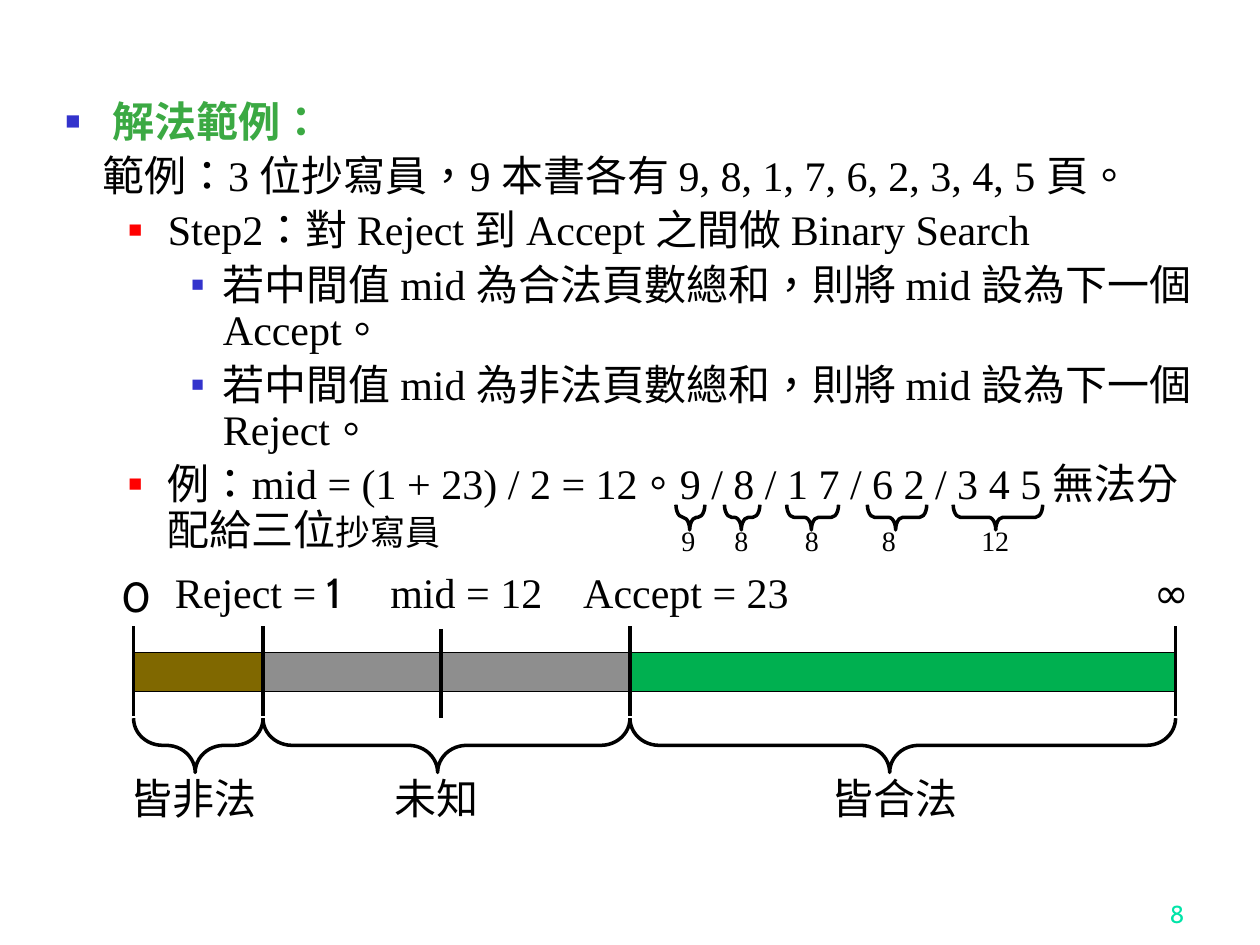
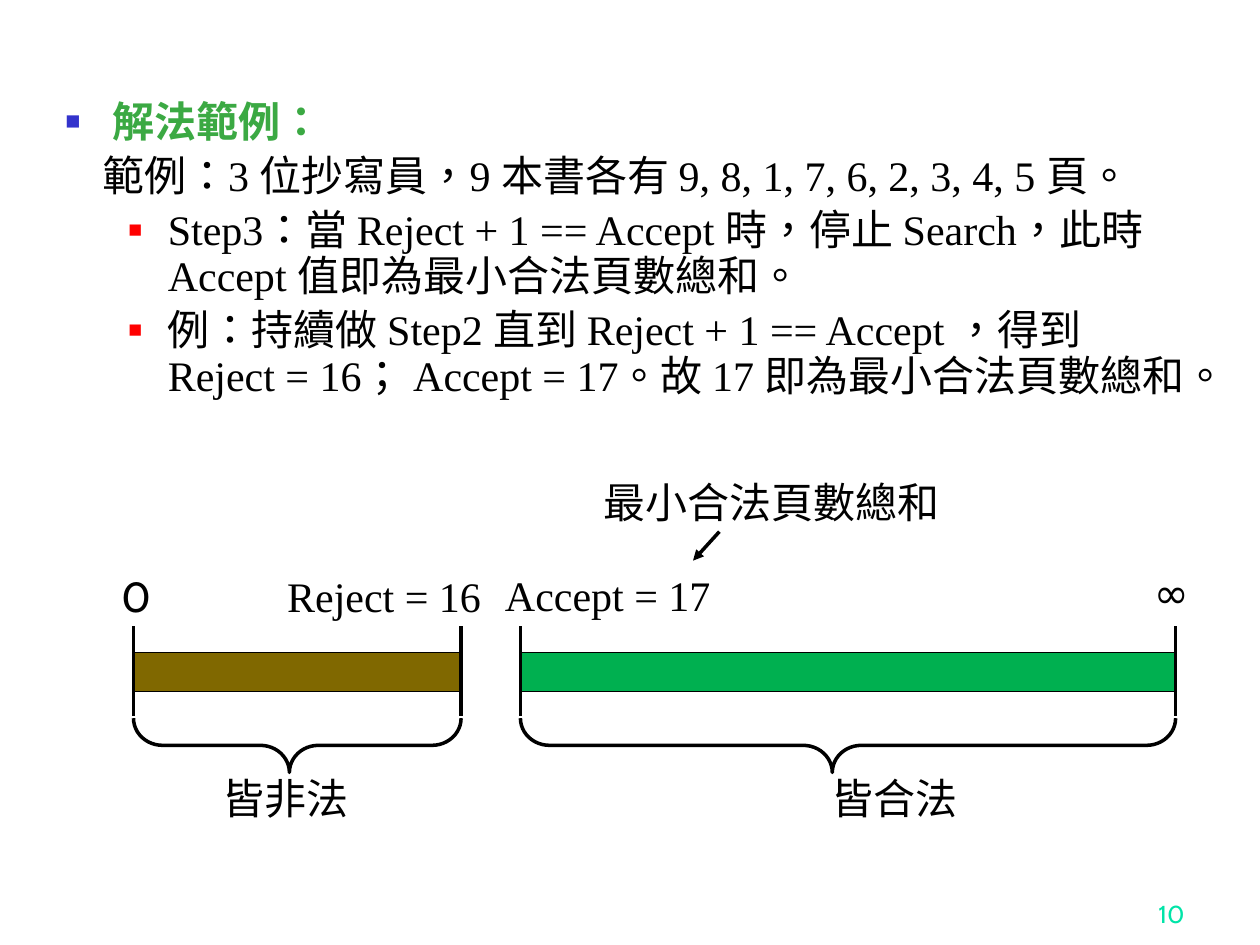
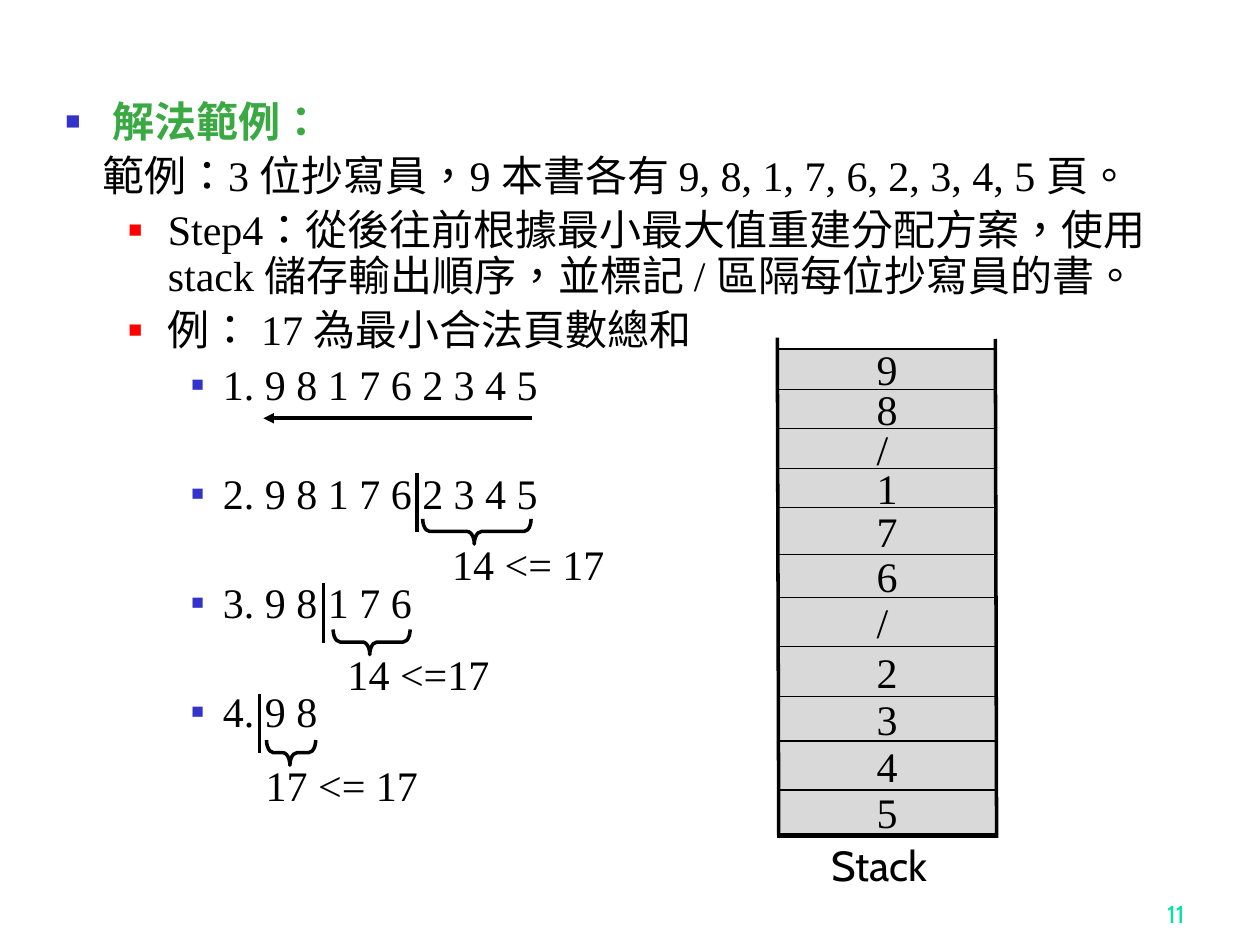
from lxml import etree
from pptx import Presentation
from pptx.dml.color import RGBColor
from pptx.enum import lang, shapes, text
from pptx.oxml.ns import qn
from pptx.util import Pt

COLORS = {"black": "000000", "heading": "3BA943", "page": "00E4A8", "blue": "3333CC",
          "red": "FF0000", "illegal": "806800", "unknown": "8E8E8E", "legal": "00B050",
          "stack": "D9D9D9"}
SERIF, SANS, CJK = "Times New Roman", "Cabin", "Noto Sans CJK SC"

# kind: left margin, first-line indent, bullet colour, bullet size in percent
LEVELS = {"heading": (27, -27, "blue", 60), "example": (21, 0, None, None),
          "step": (58.5, -22.5, "red", 55), "detail": (90, -18, "blue", 50)}
DEPTH = {"heading": 0, "example": 0, "step": 1, "detail": 2}
SPACE, WIDE_SPACE = 5.2, 36.5

INTRO = [("heading", "解法範例："),
         ("example", "範例：3 位抄寫員，9 本書各有 9, 8, 1, 7, 6, 2, 3, 4, 5 頁。")]
SEARCH = [
    ("step", "Step2：對 Reject 到 Accept 之間做 Binary Search"),
    ("detail", "若中間值 mid 為合法頁數總和，則將 mid 設為下一個 Accept。"),
    ("detail", "若中間值 mid 為非法頁數總和，則將 mid 設為下一個 Reject。"),
    ("step", [("例：mid = (1 + 23) / 2 = 12。9 / 8 / 1 7 / 6 2 / 3 4 5 無法分配給三位", {}),
              ("抄寫員", {"size": 20})]),
]
STOP = [
    ("step", "Step3：當 Reject + 1 == Accept 時，停止 Search，此時 Accept 值即為最小合法頁數總和。"),
    ("step", "例：持續做 Step2 直到 Reject + 1 == Accept ，得到 Reject = 16； Accept = 17。"
             "故 17 即為最小合法頁數總和。"),
]
REBUILD = [
    ("step", "Step4：從後往前根據最小最大值重建分配方案，使用 stack 儲存輸出順序，並標記 / 區隔每位抄寫員的書。"),
    ("step", "例： 17 為最小合法頁數總和"),
    ("detail", "1. 9 8 1 7 6 2 3 4 5"),
    ("detail", "2. 9 8 1 7 6 2 3 4 5", WIDE_SPACE),
    ("detail", "3. 9 8 1 7 6", WIDE_SPACE),
    ("detail", "4. 9 8", WIDE_SPACE),
]

# Number line ranges: from, to, colour, caption, caption left, caption width
AXIS_LEFT, AXIS_RIGHT = 76.3, 671.8
SEARCH_RANGES = [(AXIS_LEFT, 150.3, "illegal", "皆非法", 67.7, 88),
                 (150.3, 360, "unknown", "未知", 218.2, 66),
                 (360, AXIS_RIGHT, "legal", "皆合法", 468, 88)]
STOP_RANGES = [(AXIS_LEFT, 263.5, "illegal", "皆非法", 120.2, 88),
               (297.4, AXIS_RIGHT, "legal", "皆合法", 468, 88)]
MID_X = 252

# Page sums: brace from, brace to, sum, label left
SUMS = [(386.3, 402.8, "9", 382.3), (414, 434.2, "8", 412.6), (449.6, 479.2, "8", 452.9),
        (495.7, 529.6, "8", 496.8), (544.7, 595.8, "12", 553.7)]

# Cuts: divider x, brace from, brace to, check, check left
CUTS = [(238.3, 241.6, 303.5, "14 <= 17", 251.3), (185, 190.4, 234.4, "14 <=17", 191.5),
        (148.3, 152.3, 180.4, "17 <= 17", 144.7)]
CUT_TOP, CUT_PITCH = 270, 63.2

STACK = "98/176/2345"
STACK_EDGES = [199.4, 222.5, 244.8, 267.8, 290.2, 316.8, 341.3, 369.4, 398.2, 423.4, 451.4, 476.6]
STACK_LEFT, STACK_RIGHT = 445, 568.8


def rgb(name):
    return RGBColor.from_string(COLORS[name])


def write(p, content, size=24, font=SERIF, color="black", bold=False):
    """Add runs to a paragraph; content is a string or (text, overrides) pairs."""
    for words, changes in [(content, {})] if isinstance(content, str) else content:
        r = p.add_run()
        r.text = words
        f = r.font
        f.size, f.bold = Pt(changes.get("size", size)), bold
        f.name = changes.get("font", font)
        f.color.rgb = rgb(color)
        f.language_id = lang.MSO_LANGUAGE_ID.TRADITIONAL_CHINESE
        latin = r._r.rPr.find(qn("a:latin"))
        latin.addnext(latin.makeelement(qn("a:ea"), {"typeface": CJK}))


def add_text(s, content, left, top, width, height=36, align="LEFT", anchor="TOP", **fmt):
    tf = s.shapes.add_textbox(Pt(left), Pt(top), Pt(width), Pt(height)).text_frame
    tf.word_wrap = True
    tf.vertical_anchor = getattr(text.MSO_ANCHOR, anchor)
    p = tf.paragraphs[0]
    p.alignment = getattr(text.PP_ALIGN, align)
    write(p, content, **fmt)


def add_line(s, x1, y1, x2, y2, width=2, arrow=False):
    c = s.shapes.add_connector(shapes.MSO_CONNECTOR.STRAIGHT, Pt(x1), Pt(y1), Pt(x2), Pt(y2))
    c.line.width = Pt(width)
    c.line.color.rgb = rgb("black")
    if arrow:
        etree.SubElement(c.line._get_or_add_ln(), qn("a:tailEnd"), type="triangle")
    etree.SubElement(c._element.spPr, qn("a:effectLst"))


def add_shape(s, kind, left, top, width, height, fill=None, line=0.75):
    sp = s.shapes.add_shape(kind, Pt(left), Pt(top), Pt(width), Pt(height))
    sp.shadow.inherit = False
    if fill:
        sp.fill.solid()
        sp.fill.fore_color.rgb = rgb(fill)
    else:
        sp.fill.background()
    sp.line.width = Pt(line)
    sp.line.color.rgb = rgb("black")
    return sp


def add_brace(s, x1, x2, top, depth=14.4, curve=0.279):
    """Draw a brace that spans x1 to x2 and points down."""
    span = x2 - x1
    sp = add_shape(s, shapes.MSO_SHAPE.LEFT_BRACE, (x1 + x2 - depth) / 2,
                   top + (depth - span) / 2, depth, span, line=2)
    sp.rotation = 270
    sp.adjustments[0], sp.adjustments[1] = curve, 0.476


def format_level(p, kind):
    margin, indent, color, percent = LEVELS[kind]
    p.level = DEPTH[kind]
    pPr = p._p.get_or_add_pPr()
    pPr.set("marL", str(Pt(margin)))
    pPr.set("indent", str(Pt(indent)))
    if color is None:
        etree.SubElement(pPr, qn("a:buNone"))
        return
    clr = etree.SubElement(pPr, qn("a:buClr"))
    etree.SubElement(clr, qn("a:srgbClr"), val=COLORS[color])
    etree.SubElement(pPr, qn("a:buSzPct"), val=str(percent * 1000))
    etree.SubElement(pPr, qn("a:buChar"), char="■")


def new_slide(prs, items, number):
    s = prs.slides.add_slide(prs.slide_layouts[1])
    title = s.shapes.title._element
    title.getparent().remove(title)
    body = s.placeholders[1]
    body.left, body.top, body.width, body.height = Pt(30.2), Pt(54), Pt(658.8), Pt(442.8)
    tf = body.text_frame
    tf.auto_size = text.MSO_AUTO_SIZE.NONE
    tf.vertical_anchor = text.MSO_ANCHOR.TOP
    for i, (kind, content, *space) in enumerate(INTRO + items):
        p = tf.add_paragraph() if i else tf.paragraphs[0]
        format_level(p, kind)
        p.line_spacing = 0.9
        p.space_before = Pt((space[0] if space else SPACE) if i else 0)
        heading = kind == "heading"
        write(p, content, color="heading" if heading else "black", bold=heading)
    add_text(s, str(number), 534.2, 498.2, 149.8, align="RIGHT", anchor="BOTTOM",
             size=14, font=SANS, color="page")
    return s


def add_number_line(s, ranges):
    for x1, x2, color, caption, left, width in ranges:
        add_shape(s, shapes.MSO_SHAPE.RECTANGLE, x1, 373, x2 - x1, 22.3, fill=color)
        add_brace(s, x1, x2, 410.4, depth=31, curve=0.537)
        add_text(s, caption, left, 437.8, width, font=CJK)
    for x in sorted({x for r in ranges for x in r[:2]}):
        add_line(s, x, 358, x, 409)
    add_text(s, "0", 62.6, 322.6, 25.2, font=SANS)
    add_text(s, "∞", 652.3, 320.4, 25.2, font=SANS)


def add_stack(s):
    top, bottom = STACK_EDGES[0], STACK_EDGES[-1]
    add_shape(s, shapes.MSO_SHAPE.RECTANGLE, STACK_LEFT, top, STACK_RIGHT - STACK_LEFT,
              bottom - top, fill="stack")
    for y in STACK_EDGES[1:-1]:
        add_line(s, STACK_LEFT, y, STACK_RIGHT, y, width=0.75)
    for value, y1, y2 in zip(STACK, STACK_EDGES, STACK_EDGES[1:]):
        add_text(s, value, 493.9, (y1 + y2) / 2 - 18, 25.2)
    add_line(s, 444.2, 478, 569.5, 478)
    add_line(s, 444.2, 193, STACK_LEFT, 477.4)
    add_line(s, STACK_RIGHT, 193.7, 569.5, 478.8)
    add_text(s, "Stack", 468, 475.9, 141.8, font=SANS)


def main():
    prs = Presentation()
    prs.slide_width, prs.slide_height = Pt(720), Pt(540)

    s = new_slide(prs, SEARCH, 8)
    add_number_line(s, SEARCH_RANGES)
    add_line(s, MID_X, 359.3, MID_X, 410.4)
    add_text(s, [("Reject = ", {}), ("1", {"font": SANS})], 92.9, 320.4, 118.8)
    add_text(s, "mid = 12", 216, 320.4, 141.8)
    add_text(s, "Accept = 23", 326.2, 320.4, 141.8)
    for x1, x2, total, left in SUMS:
        add_brace(s, x1, x2, 288.4)
        add_text(s, total, left, 295.9, 36, 26.6, size=16)

    s = new_slide(prs, STOP, 10)
    add_number_line(s, STOP_RANGES)
    add_text(s, "Reject = 16", 157, 322.6, 128.9)
    add_text(s, "Accept = 17", 281.5, 321.8, 371.5)
    add_text(s, "最小合法頁數總和", 337.7, 268.6, 239)
    add_line(s, 411.1, 303.8, 396, 320.4, arrow=True)

    s = new_slide(prs, REBUILD, 11)
    add_line(s, 303.8, 239, 150.5, 239, arrow=True)
    for i, (x, x1, x2, check, left) in enumerate(CUTS):
        y = CUT_TOP + i * CUT_PITCH
        add_line(s, x, y, x, y + 34)
        add_brace(s, x1, x2, y + 26.5)
        add_text(s, check, left, y + 34, 141.8)
    add_stack(s)

    prs.save("out.pptx")


if __name__ == "__main__":
    main()
